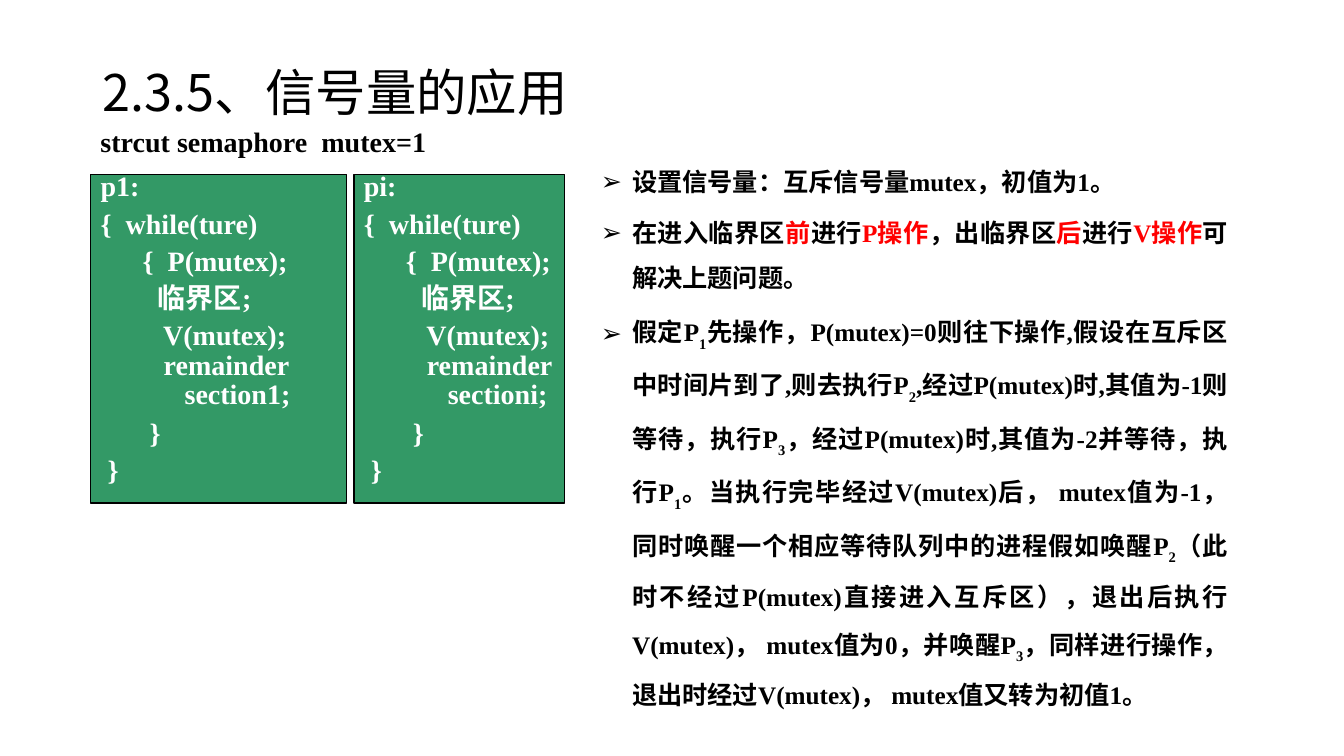
from dataclasses import dataclass
from typing import NamedTuple

from lxml import etree
from pptx import Presentation
from pptx.dml import color as dml
from pptx.enum import shapes, text
from pptx.oxml import ns
from pptx.util import Inches, Pt

COLORS = {"black": "000000", "white": "FFFFFF", "red": "FF0000", "green": "339966"}
SERIF = "Times New Roman"
SANS = "Noto Sans CJK SC"


class Piece(NamedTuple):
    text: str
    color: str = "black"
    subscript: bool = False


@dataclass
class Process:
    name: str
    left: float
    width: float


PROCESSES = [Process("1", 0.9, 2.54), Process("i", 3.51, 2.09)]

CODE = """p{name}:
{{  while(ture)
      {{  P(mutex);
         临界区;
         V(mutex);
         remainder
            section{name};
       }}
 }}"""


def red(words: str) -> Piece:
    return Piece(words, "red")


def sub(digit: str) -> Piece:
    return Piece(digit, subscript=True)


BULLETS = [
    [Piece("设置信号量：互斥信号量mutex，初值为1。")],
    [Piece("在进入临界区"), red("前"), Piece("进行"), red("P操作"), Piece("，出临界区"),
     red("后"), Piece("进行"), red("V操作"), Piece("可解决上题问题。")],
    [Piece("假定P"), sub("1"),
     Piece("先操作，P(mutex)=0则往下操作,假设在互斥区中时间片到了,则去执行P"), sub("2"),
     Piece(",经过P(mutex)时,其值为-1则等待，执行P"), sub("3"),
     Piece("，经过P(mutex)时,其值为-2并等待，执行P"), sub("1"),
     Piece("。当执行完毕经过V(mutex)后， mutex值为-1，同时唤醒一个相应等待队列中的进程假如唤醒P"),
     sub("2"),
     Piece("（此时不经过P(mutex)直接进入互斥区），退出后执行V(mutex)， mutex值为0，并唤醒P"),
     sub("3"),
     Piece("，同样进行操作，退出时经过V(mutex)， mutex值又转为初值1。")],
]


def rgb(name: str) -> dml.RGBColor:
    return dml.RGBColor.from_string(COLORS[name])


def style_run(run, size: float, color: str, name: str = SERIF, bold: bool = True) -> None:
    run.font.size = Pt(size)
    run.font.bold = bold
    run.font.name = name
    run.font.color.rgb = rgb(color)
    east_asian = etree.Element(ns.qn("a:ea"), typeface=SANS)
    run.font._element.find(ns.qn("a:latin")).addnext(east_asian)


def place(shape, left: float, top: float, width: float, height: float) -> None:
    shape.left, shape.top = Inches(left), Inches(top)
    shape.width, shape.height = Inches(width), Inches(height)


def prepare_frame(frame, anchor=text.MSO_ANCHOR.TOP) -> None:
    frame.word_wrap = True
    frame.auto_size = text.MSO_AUTO_SIZE.NONE
    frame.vertical_anchor = anchor


def write_code(frame, code: str, color: str) -> None:
    prepare_frame(frame)
    frame.text = code
    for index, paragraph in enumerate(frame.paragraphs):
        words = paragraph.text.strip()
        tight = words.startswith(("remainder", "section"))
        paragraph.alignment = text.PP_ALIGN.LEFT
        paragraph.line_spacing = 0.85 if tight else 0.65
        if index and not words.startswith("section"):
            paragraph.space_before = Pt(2 if tight else 11)
        for run in paragraph.runs:
            style_run(run, 20, color)


def add_process(slide, process: Process) -> None:
    box = slide.shapes.add_shape(
        shapes.MSO_SHAPE.RECTANGLE, Inches(process.left), Inches(1.73),
        Inches(process.width), Inches(3.26))
    box.shadow.inherit = False
    box.fill.solid()
    box.fill.fore_color.rgb = rgb("green")
    box.line.color.rgb = rgb("black")
    box.line.width = Pt(1)
    write_code(box.text_frame, CODE.format(name=process.name), "white")


def write_bullet(paragraph, pieces: list[Piece], first: bool) -> None:
    properties = paragraph._p.get_or_add_pPr()
    properties.set("marL", str(Inches(0.31)))
    properties.set("indent", str(-Inches(0.31)))
    etree.SubElement(properties, ns.qn("a:buChar"), char="➢")
    paragraph.alignment = text.PP_ALIGN.JUSTIFY
    paragraph.line_spacing = 1.5
    paragraph.space_before = Pt(0 if first else 4)
    for piece in pieces:
        run = paragraph.add_run()
        run.text = piece.text
        style_run(run, 18, piece.color)
        if piece.subscript:
            run.font._element.set("baseline", "-30000")


def main() -> None:
    presentation = Presentation()
    presentation.slide_width, presentation.slide_height = Inches(13.33), Inches(7.5)
    slide = presentation.slides.add_slide(presentation.slide_layouts[1])

    # Title
    title = slide.shapes.title
    place(title, 0.92, 0.4, 11.5, 1.09)
    prepare_frame(title.text_frame, text.MSO_ANCHOR.MIDDLE)
    title.text_frame.text = "2.3.5、信号量的应用"
    heading = title.text_frame.paragraphs[0]
    heading.alignment = text.PP_ALIGN.LEFT
    heading.line_spacing = 0.9
    style_run(heading.runs[0], 36, "black", SANS, bold=False)

    # Semaphore declaration
    declaration = slide.shapes.add_textbox(
        Inches(0.76), Inches(1.29), Inches(5.67), Inches(0.33))
    write_code(declaration.text_frame, "  strcut semaphore  mutex=1", "black")

    # Code of the two processes
    for process in PROCESSES:
        add_process(slide, process)

    # Explanation
    body = slide.placeholders[1]
    place(body, 5.86, 1.45, 6.42, 5.17)
    frame = body.text_frame
    prepare_frame(frame)
    for index, pieces in enumerate(BULLETS):
        paragraph = frame.add_paragraph() if index else frame.paragraphs[0]
        write_bullet(paragraph, pieces, first=index == 0)

    presentation.save("out.pptx")


if __name__ == "__main__":
    main()
